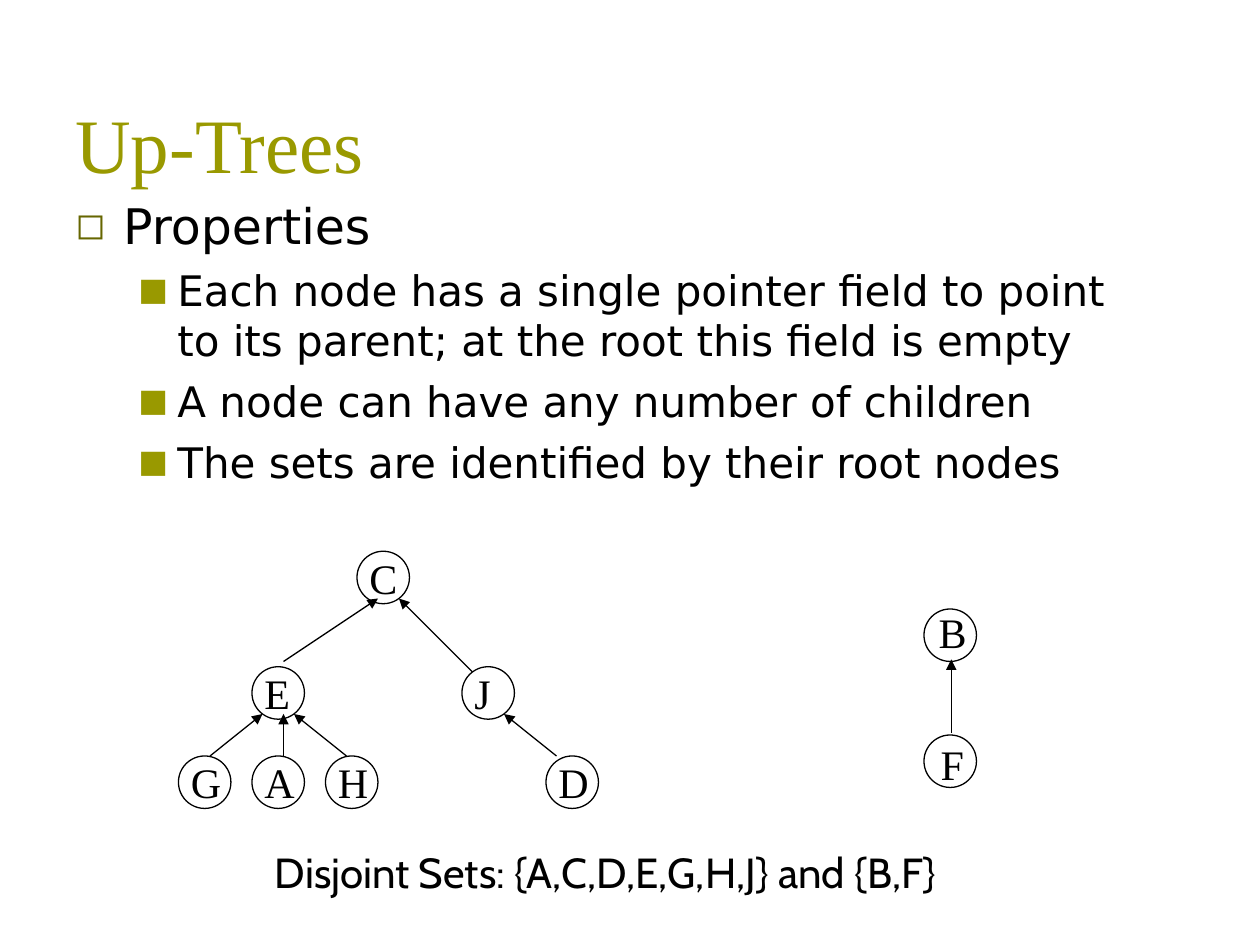
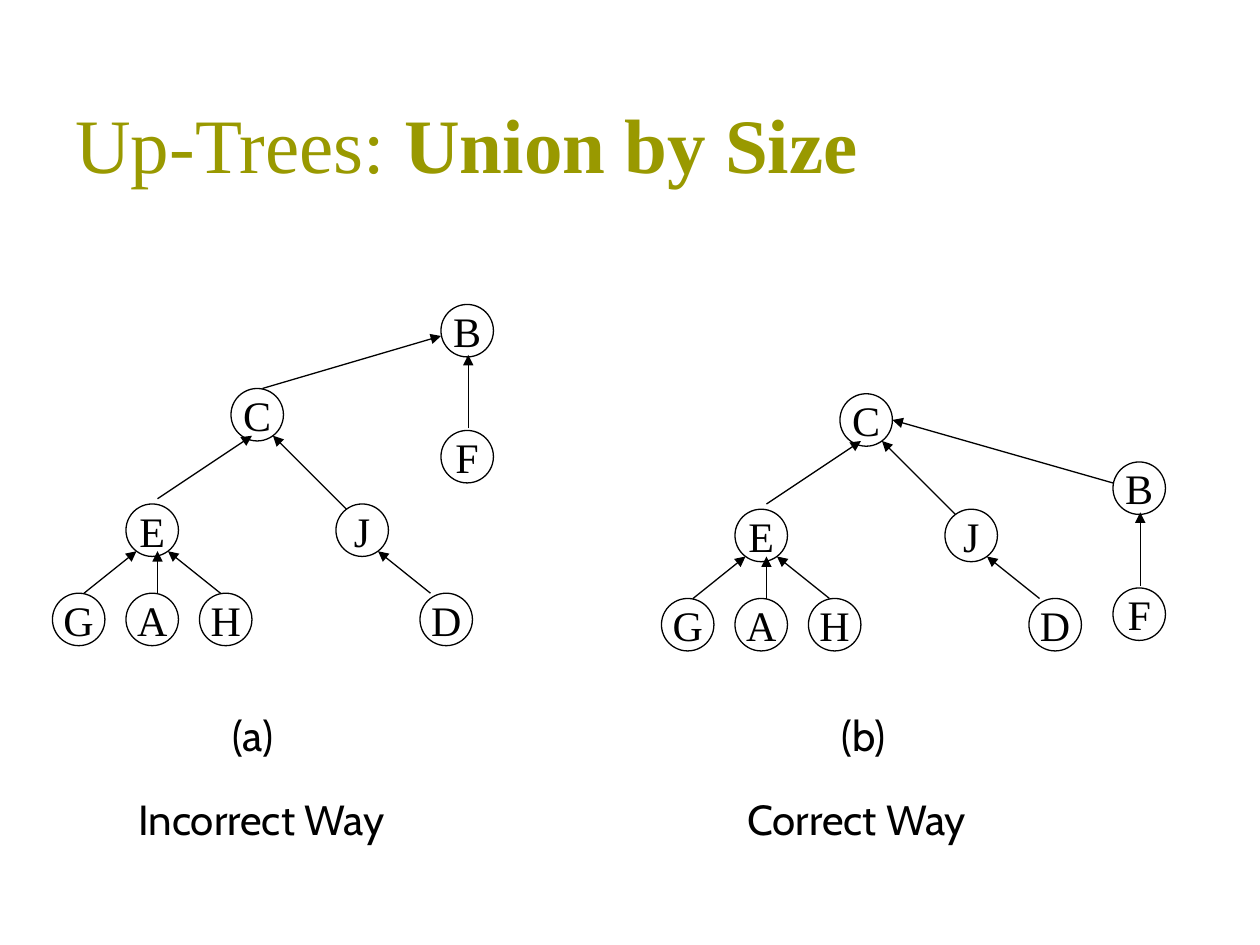
import dataclasses
import typing

import lxml.etree
import pptx
import pptx.dml.color
import pptx.enum.shapes
import pptx.enum.text
import pptx.oxml.ns
import pptx.shapes.connector
import pptx.shapes.shapetree
import pptx.slide
import pptx.text.text
import pptx.util

WIDTH, HEIGHT = pptx.util.Inches(10), pptx.util.Inches(7.5)
COLS, ROWS = 120, 90
NODE = 5
OLIVE, DARK_OLIVE, BLACK = "999900", "666600", "000000"
SERIF, SANS, CAPTION_FONT = "Times New Roman", "DejaVu Sans", "Cabin"
TITLE_SIZE, HEAD_SIZE, TEXT_SIZE = 44, 28, 24
Shapes = pptx.shapes.shapetree._BaseGroupShapes


@dataclasses.dataclass(frozen=True)
class Node:
    name: str
    col: float
    row: float
    label_dx: float = 0
    label_dy: float = -0.5
    label_width: float = 5.3


@dataclasses.dataclass(frozen=True)
class Arrow:
    x1: float
    y1: float
    x2: float
    y2: float


@dataclasses.dataclass(frozen=True)
class Tree:
    nodes: tuple[Node, ...]
    arrows: tuple[Arrow, ...]


@dataclasses.dataclass(frozen=True)
class Caption:
    text: str
    col: float
    row: float
    width: float
    height: float = 6


@dataclasses.dataclass(frozen=True)
class Bullet:
    char: str
    color: str
    size: int
    level: int
    left: float
    hang: float
    before: int


HEAD = Bullet("◻", DARK_OLIVE, HEAD_SIZE, 0, 0.38, 0.38, 7)
ITEM = Bullet("■", OLIVE, TEXT_SIZE, 1, 0.81, 0.31, 6)

BIG_TREE = Tree(
    (Node("C", 17, 0, label_width=5), Node("E", 7, 11, label_width=4.8),
     Node("J", 27, 11, label_width=4), Node("G", 0, 19.5), Node("A", 7, 19.5),
     Node("H", 14, 19.5), Node("D", 35, 19.5)),
    (Arrow(3, 19.5, 8, 15.5), Arrow(16, 19.5, 11, 15.5),
     Arrow(10, 19.5, 10, 15.5), Arrow(10, 10.5, 19, 4.5),
     Arrow(36, 19.5, 31, 15.5), Arrow(28, 11.5, 21, 4.5)),
)
SMALL_TREE = Tree(
    (Node("F", 0, 12, 0.4, -0.3, 4), Node("B", 0, 0, 0.2, -0.8, 4)),
    (Arrow(2.6, 11.8, 2.6, 4.8),),
)

PROPERTIES = (
    (HEAD, "Properties"),
    (ITEM, "Each node has a single pointer field to point to its parent; "
           "at the root this field is empty"),
    (ITEM, "A node can have any number of children"),
    (ITEM, "The sets are identified by their root nodes"),
)


def x(cols: float) -> int:
    return round(WIDTH * cols / COLS)


def y(rows: float) -> int:
    return round(HEIGHT * rows / ROWS)


def rgb(color: str) -> pptx.dml.color.RGBColor:
    return pptx.dml.color.RGBColor.from_string(color)


def style(p: pptx.text.text._Paragraph, font: str, size: int, color: str) -> None:
    for r in p.runs:
        r.font.name = font
        r.font.size = pptx.util.Pt(size)
        r.font.color.rgb = rgb(color)


def sub(parent: typing.Any, tag: str, **attrs: str) -> typing.Any:
    return lxml.etree.SubElement(parent, pptx.oxml.ns.qn(tag), attrs)


def add_text(shapes: Shapes, col: float, row: float, width: float, height: float,
             wrap: bool = True) -> pptx.text.text.TextFrame:
    tf = shapes.add_textbox(x(col), y(row), x(width), y(height)).text_frame
    tf.word_wrap = wrap
    return tf


def add_title(s: pptx.slide.Slide, text: str, bold_text: str = "") -> None:
    tf = add_text(s.shapes, 6, 3.6, 108, 15)
    tf.vertical_anchor = pptx.enum.text.MSO_ANCHOR.BOTTOM
    tf.text = text
    p = tf.paragraphs[0]
    if bold_text:
        r = p.add_run()
        r.text = bold_text
        r.font.bold = True
    style(p, SERIF, TITLE_SIZE, OLIVE)


def add_bullets(s: pptx.slide.Slide, lines: tuple[tuple[Bullet, str], ...]) -> None:
    tf = add_text(s.shapes, 6, 18, 102, 54)
    tf.text = "\n".join(text for _, text in lines)
    for p, (bullet, _) in zip(tf.paragraphs, lines):
        p.level = bullet.level
        p.space_before = pptx.util.Pt(bullet.before)
        style(p, SANS, bullet.size, BLACK)
        pPr = p._p.get_or_add_pPr()
        pPr.set("marL", str(pptx.util.Inches(bullet.left)))
        pPr.set("indent", str(-pptx.util.Inches(bullet.hang)))
        sub(sub(pPr, "a:buClr"), "a:srgbClr", val=bullet.color)
        sub(pPr, "a:buSzPct", val="75000")
        sub(pPr, "a:buFont", typeface=SANS)
        sub(pPr, "a:buChar", char=bullet.char)


def add_caption(s: pptx.slide.Slide, caption: Caption) -> None:
    tf = add_text(s.shapes, caption.col, caption.row, caption.width, caption.height)
    tf.text = caption.text
    style(tf.paragraphs[0], CAPTION_FONT, TEXT_SIZE, BLACK)


def add_arrow(shapes: Shapes, arrow: Arrow, col: float = 0,
              row: float = 0) -> pptx.shapes.connector.Connector:
    line = shapes.add_connector(
        pptx.enum.shapes.MSO_CONNECTOR.STRAIGHT,
        x(col + arrow.x1), y(row + arrow.y1), x(col + arrow.x2), y(row + arrow.y2))
    line.line.color.rgb = rgb(BLACK)
    line.line.width = pptx.util.Pt(0.75)
    sub(line.line._get_or_add_ln(), "a:tailEnd", type="triangle")
    sub(line._element.spPr, "a:effectLst")
    return line


def add_node(shapes: Shapes, node: Node, col: float, row: float,
             separate_label: bool) -> None:
    left, top = col + node.col, row + node.row
    if separate_label:
        label = add_text(shapes, left + node.label_dx, top + node.label_dy,
                         node.label_width, 6, wrap=False)
    sp = shapes.add_shape(pptx.enum.shapes.MSO_SHAPE.OVAL,
                          x(left), y(top), x(NODE), y(NODE))
    sp.shadow.inherit = False
    sp.fill.background()
    sp.line.color.rgb = rgb(BLACK)
    sp.line.width = pptx.util.Pt(0.75)
    tf = label if separate_label else sp.text_frame
    tf.text = node.name
    p = tf.paragraphs[0]
    if not separate_label:
        tf.word_wrap = False
        tf.vertical_anchor = pptx.enum.text.MSO_ANCHOR.MIDDLE
        p.alignment = pptx.enum.text.PP_ALIGN.CENTER
    style(p, SERIF, TEXT_SIZE, BLACK)


def add_tree(s: pptx.slide.Slide, tree: Tree, col: float, row: float,
             separate_labels: bool = False) -> None:
    shapes = s.shapes.add_group_shape().shapes
    for node in tree.nodes:
        add_node(shapes, node, col, row, separate_labels)
    for arrow in tree.arrows:
        add_arrow(shapes, arrow, col, row)


def build_properties(s: pptx.slide.Slide) -> None:
    add_title(s, "Up-Trees")
    add_bullets(s, PROPERTIES)
    add_tree(s, BIG_TREE, 17, 52.5, separate_labels=True)
    add_tree(s, SMALL_TREE, 88, 58, separate_labels=True)
    add_caption(s, Caption("Disjoint Sets: {A,C,D,E,G,H,J} and {B,F}", 25, 80, 74))


def build_union(s: pptx.slide.Slide) -> None:
    add_title(s, "Up-Trees: ", "Union by Size")
    for union_arrow in (Arrow(25, 37, 42, 32), Arrow(106, 46, 85, 40)):
        add_arrow(s.shapes, union_arrow)
    for caption in (Caption("(a)", 21, 67, 8), Caption("(b)", 79, 67, 8),
                    Caption("Correct Way", 70, 75, 25, 10.8),
                    Caption("Incorrect Way", 12, 75, 29)):
        add_caption(s, caption)
    add_tree(s, BIG_TREE, 5, 37)
    add_tree(s, SMALL_TREE, 42, 29)
    add_tree(s, BIG_TREE, 63, 37.5)
    add_tree(s, SMALL_TREE, 106, 44)


def main() -> None:
    prs = pptx.Presentation()
    prs.slide_width, prs.slide_height = WIDTH, HEIGHT
    for build in (build_properties, build_union):
        build(prs.slides.add_slide(prs.slide_layouts[6]))
    prs.save("out.pptx")


if __name__ == "__main__":
    main()
